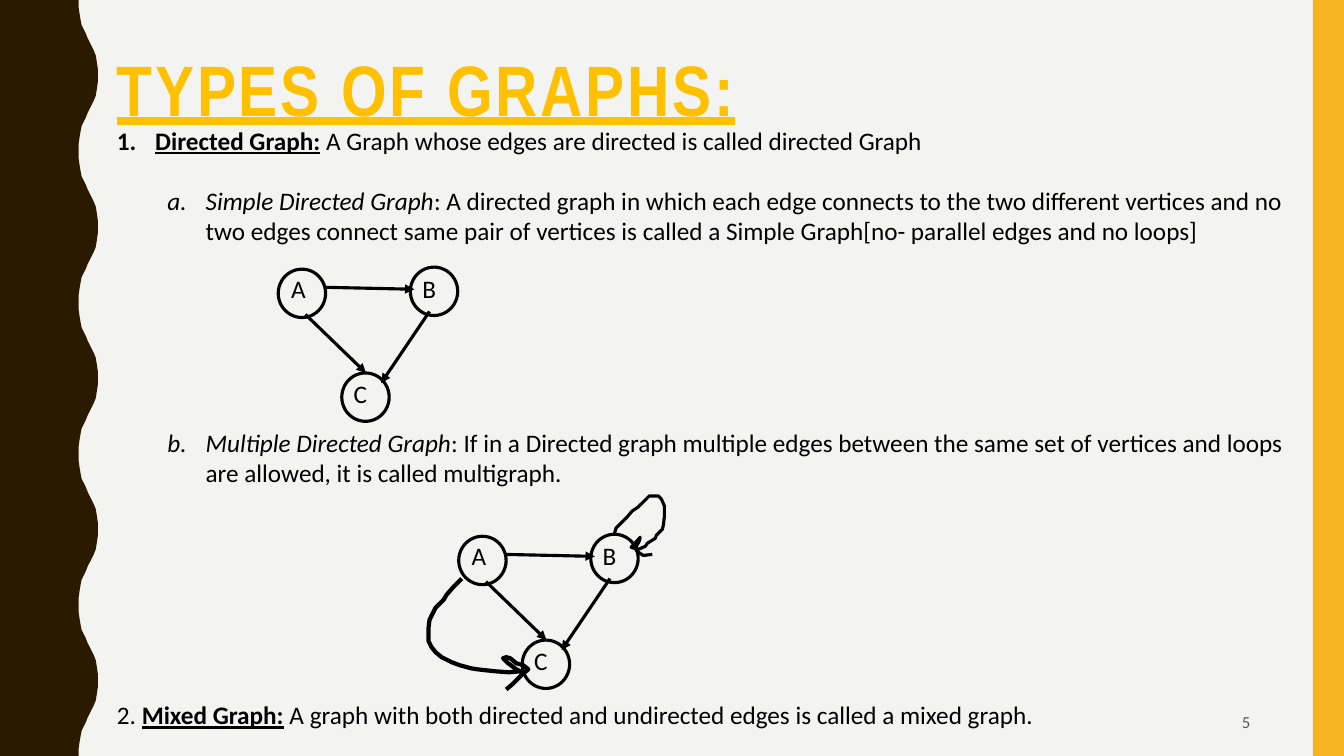
from lxml import etree
from pptx import Presentation
from pptx.dml.color import RGBColor
from pptx.enum.shapes import MSO_CONNECTOR, MSO_SHAPE
from pptx.enum.text import MSO_ANCHOR, MSO_AUTO_SIZE, PP_ALIGN
from pptx.oxml.ns import qn
from pptx.util import Inches, Pt

STRAIGHT = MSO_CONNECTOR.STRAIGHT
OVAL, RECTANGLE = MSO_SHAPE.OVAL, MSO_SHAPE.RECTANGLE
BLACK, BROWN, AMBER, GOLD = "000000", "2A1A00", "F8B323", "FFC000"
PAPER, GREY = "F3F3F2", "595959"

TITLE = "TYPES OF GRAPHS:"
PAGE_NUMBER = "5"
# numbering, level, left margin, hanging indent, space before in lines, (text, style) runs
PARAGRAPHS = [
    ("arabicPeriod", 0, 0.38, 0.38, 0, [
        ("Directed Graph:", "bu"),
        (" A Graph whose edges are directed is called directed Graph", "")]),
    ("alphaLcPeriod", 1, 0.88, 0.38, 1, [
        ("Simple Directed Graph", "i"),
        (": A directed graph in which each edge connects to the two different vertices "
         "and no two edges connect same pair of vertices is called a Simple Graph"
         "[no- parallel edges and no loops]", "")]),
    ("alphaLcPeriod", 1, 0.88, 0.38, 6, [
        ("Multiple Directed Graph", "i"),
        (": If in a Directed graph multiple edges between the same set of vertices "
         "and loops are allowed, it is called multigraph.", "")]),
    (None, 0, 0, 0, 7, [
        ("2. ", ""), ("Mixed Graph:", "bu"),
        (" A graph with both directed and undirected edges is called a mixed graph.", "")]),
]
LINE_PITCH = 21.6

# label, circle corner, label corner
NODES = [("A", (2.76, 2.67), (2.79, 2.66)),
         ("B", (4.07, 2.65), (4.09, 2.66)),
         ("C", (3.39, 3.7), (3.41, 3.7))]
EDGES = [((3.22, 2.85), (4.11, 2.87)),
         ((3.03, 3.12), (3.63, 3.7)),
         ((4.26, 3.09), (3.78, 3.8))]
GRAPH_OFFSETS = [(0, 0), (1.79, 2.65)]

PARALLEL_EDGE = [
    (4.58, 5.74), (4.5, 5.82), (4.43, 5.9), (4.4, 5.95), (4.32, 6.03), (4.26, 6.15),
    (4.25, 6.23), (4.25, 6.36), (4.28, 6.42), (4.32, 6.47), (4.38, 6.52), (4.48, 6.57),
    (4.56, 6.6), (4.67, 6.63), (4.73, 6.64), (4.91, 6.66), (5.05, 6.67), (5.16, 6.66),
    (5.12, 6.64), (5.04, 6.58), (4.99, 6.53), (5.02, 6.52), (5.06, 6.53), (5.12, 6.58),
    (5.19, 6.6), (5.24, 6.64), (5.18, 6.69), (5.13, 6.74), (5.08, 6.79), (5.02, 6.84)]
LOOP = [
    (6.09, 5.31), (6.11, 5.24), (6.22, 5.13), (6.27, 5.07), (6.33, 5.03), (6.39, 4.97),
    (6.44, 4.92), (6.48, 4.92), (6.53, 4.92), (6.56, 4.95), (6.59, 5.02), (6.59, 5.12),
    (6.58, 5.21), (6.57, 5.25), (6.51, 5.31), (6.5, 5.34), (6.42, 5.39), (6.4, 5.42),
    (6.33, 5.45), (6.26, 5.43), (6.28, 5.41), (6.35, 5.33), (6.34, 5.37), (6.3, 5.44),
    (6.32, 5.47), (6.38, 5.51), (6.47, 5.5)]

WAVE_PERIOD, WAVE_COUNT = 1.5, 5
HALF_WAVE = [
    (0.78, 0), (0.78, 0.07), (0.79, 0.14), (0.8, 0.2), (0.81, 0.25), (0.83, 0.29),
    (0.85, 0.33), (0.87, 0.38), (0.89, 0.42), (0.91, 0.46), (0.93, 0.5), (0.95, 0.55),
    (0.96, 0.61), (0.97, 0.68), (0.97, 0.75)]


def color(value):
    return RGBColor.from_string(value)


def place(shape, left, top, width, height):
    shape.left, shape.top = Inches(left), Inches(top)
    shape.width, shape.height = Inches(width), Inches(height)


def format_font(font, size, fill, name="Calibri"):
    font.size, font.name = Pt(size), name
    font.color.rgb = color(fill)


def paint(shape, fill=None, line_width=None):
    """Fill the shape, or leave it hollow, with a black outline or none."""
    shape.shadow.inherit = False
    if fill:
        shape.fill.solid()
        shape.fill.fore_color.rgb = color(fill)
    else:
        shape.fill.background()
    if line_width:
        shape.line.color.rgb = color(BLACK)
        shape.line.width = Pt(line_width)
    else:
        shape.line.fill.background()


def add_outline(points, closed=False, **style):
    start, *rest = [(Inches(x), Inches(y)) for x, y in points]
    builder = slide.shapes.build_freeform(*start)
    builder.add_line_segments(rest, close=closed)
    paint(builder.convert_to_shape(), **style)


def add_label(text, box, size, fill, align=PP_ALIGN.LEFT, anchor=MSO_ANCHOR.TOP):
    label = slide.shapes.add_textbox(*map(Inches, box))
    frame = label.text_frame
    frame.word_wrap = True
    frame.vertical_anchor = anchor
    paragraph = frame.paragraphs[0]
    paragraph.text = text
    paragraph.alignment = align
    format_font(paragraph.runs[0].font, size, fill)


def add_arrow(start, end):
    arrow = slide.shapes.add_connector(STRAIGHT, *map(Inches, start + end))
    arrow.line.color.rgb = color(BLACK)
    arrow.line.width = Pt(2.25)
    etree.SubElement(arrow.line._get_or_add_ln(), qn("a:tailEnd"), type="triangle")
    etree.SubElement(arrow._element.spPr, qn("a:effectLst"))


def add_graph(dx, dy):
    for label, (left, top), (label_left, label_top) in NODES:
        circle = slide.shapes.add_shape(
            OVAL, Inches(left + dx), Inches(top + dy), Inches(0.47), Inches(0.48))
        paint(circle, line_width=2.25)
        add_label(label, (label_left + dx, label_top + dy, 0.43, 0.4), 18, BLACK)
    for (x1, y1), (x2, y2) in EDGES:
        add_arrow((x1 + dx, y1 + dy), (x2 + dx, y2 + dy))


def fill_title(title):
    place(title, 1.06, 0.44, 9.33, 0.98)
    frame = title.text_frame
    frame.text = TITLE
    frame.auto_size = MSO_AUTO_SIZE.NONE
    frame.vertical_anchor = MSO_ANCHOR.MIDDLE
    paragraph = frame.paragraphs[0]
    paragraph.alignment = PP_ALIGN.LEFT
    paragraph.line_spacing = 0.9
    font = paragraph.runs[0].font
    format_font(font, 51, GOLD, "Arial Narrow")
    font.bold = font.underline = True
    paragraph.runs[0]._r.get_or_add_rPr().set("spc", "200")


def fill_body(body):
    place(body, 1.06, 1.19, 11.84, 6.2)
    frame = body.text_frame
    frame.auto_size = MSO_AUTO_SIZE.NONE
    frame.vertical_anchor = MSO_ANCHOR.TOP
    for index, (numbering, level, margin, hanging, gap, runs) in enumerate(PARAGRAPHS):
        paragraph = frame.paragraphs[0] if index == 0 else frame.add_paragraph()
        paragraph.level = level
        paragraph.space_before = Pt(gap * LINE_PITCH)
        properties = paragraph._p.get_or_add_pPr()
        properties.set("marL", str(Inches(margin)))
        properties.set("indent", str(-Inches(hanging)))
        if numbering:
            etree.SubElement(properties, qn("a:buFont"), typeface="+mj-lt")
            etree.SubElement(properties, qn("a:buAutoNum"), type=numbering)
        else:
            etree.SubElement(properties, qn("a:buNone"))
        for text, style in runs:
            run = paragraph.add_run()
            run.text = text
            format_font(run.font, 18, BLACK)
            run.font.bold = "b" in style
            run.font.italic = "i" in style
            run.font.underline = "u" in style


presentation = Presentation()
presentation.slide_width, presentation.slide_height = Inches(13.33), Inches(7.5)
slide = presentation.slides.add_slide(presentation.slide_layouts[1])
slide.background.fill.solid()
slide.background.fill.fore_color.rgb = color(PAPER)

wave = HALF_WAVE + [(x, WAVE_PERIOD - y) for x, y in HALF_WAVE[-2::-1]]
edge = [(x, y + n * WAVE_PERIOD) for n in range(WAVE_COUNT) for x, y in wave]
add_outline([(0, 0)] + edge + [(0, 7.5)], closed=True, fill=BROWN)
bar = slide.shapes.add_shape(RECTANGLE, Inches(13.02), 0, Inches(0.31), Inches(7.5))
paint(bar, fill=AMBER)

fill_title(slide.shapes.title)
fill_body(slide.placeholders[1])
add_label(PAGE_NUMBER, (9.42, 6.97, 3.08, 0.38), 12, GREY, PP_ALIGN.RIGHT, MSO_ANCHOR.MIDDLE)
for offset in GRAPH_OFFSETS:
    add_graph(*offset)
add_outline(PARALLEL_EDGE, line_width=3)
add_outline(LOOP, line_width=2.25)

presentation.save("out.pptx")
